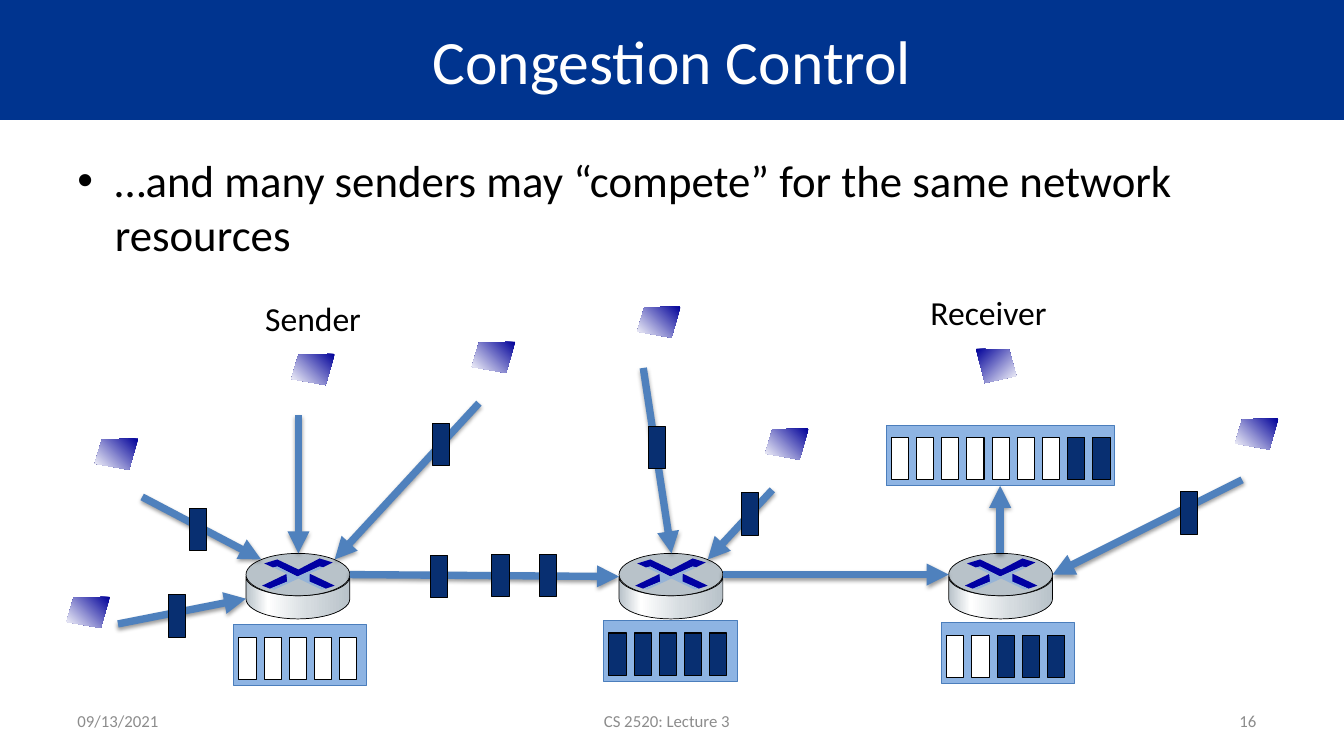
from math import cos, pi, sin

from lxml.etree import SubElement
from pptx import Presentation
from pptx.dml.color import RGBColor
from pptx.enum.shapes import MSO_CONNECTOR as LINK, MSO_SHAPE as SHAPE
from pptx.enum.text import MSO_ANCHOR as ANCHOR, PP_ALIGN as ALIGN
from pptx.oxml.ns import qn
from pptx.util import Inches, Pt

BLACK = RGBColor(0x00, 0x00, 0x00)
WHITE = RGBColor(0xFF, 0xFF, 0xFF)
GREY = RGBColor(0x8C, 0x8C, 0x8C)
TITLE_BLUE = RGBColor(0x00, 0x34, 0x8F)
PACKET_BLUE = RGBColor(0x08, 0x2F, 0x71)
QUEUE_FILL = RGBColor(0x8E, 0xB4, 0xE3)
QUEUE_EDGE = RGBColor(0x4B, 0x7E, 0xBC)
LINK_BLUE = RGBColor(0x4F, 0x81, 0xBD)
SCREEN_BLUE = RGBColor(0x00, 0x00, 0x99)
CROSS_BLUE = RGBColor(0x00, 0x00, 0xA3)
CROSS_LIGHT = RGBColor(0x95, 0xB3, 0xD7)
STEEL = RGBColor(0xB8, 0xC2, 0xC9)
STEEL_LIGHT = RGBColor(0xD6, 0xDC, 0xE0)

FONT = "Calibri"
PACKET_W, PACKET_H, SLOT_STEP = 0.17, 0.42, 0.25
QUEUE_H = 0.6
ROUTER_W, ROUTER_TOP = 1.03, 5.49

SENDER_SCREEN = [(0.43, 0), (0.07, 0.01), (0, 0.25), (0.34, 0.31)]
RECEIVER_SCREEN = [(0, 0), (0.33, 0.01), (0.4, 0.27), (0.09, 0.34)]
CROSS_PARTS = [
    ([(0.73, 0.05), (0.86, 0.09), (0.76, 0.14), (0.73, 0.13), (0.51, 0.23),
      (0.31, 0.13), (0.27, 0.14), (0.18, 0.1), (0.31, 0.06), (0.52, 0.16)], CROSS_BLUE),
    ([(0.63, 0.2), (0.88, 0.32), (0.79, 0.35), (0.62, 0.28)], CROSS_BLUE),
    ([(0.41, 0.2), (0.41, 0.28), (0.24, 0.35), (0.16, 0.32)], CROSS_BLUE),
    ([(0.27, 0.14), (0.31, 0.13), (0.51, 0.23), (0.73, 0.13), (0.77, 0.14),
      (0.63, 0.2), (0.63, 0.28), (0.79, 0.35), (0.75, 0.36), (0.52, 0.25),
      (0.28, 0.36), (0.24, 0.35), (0.41, 0.28), (0.4, 0.2)], CROSS_LIGHT),
]

ROUTER_LEFTS = [2.44, 6.14, 9.41]
QUEUES = [(2.32, 6.2, 1.32, 5, 0), (5.99, 6.16, 1.32, 0, 5), (9.34, 6.18, 1.32, 2, 3)]
SENDERS = [(2.89, 3.51), (0.66, 5.92), (12.25, 4.15), (4.68, 3.39),
           (6.32, 3.04), (0.94, 4.35), (7.59, 4.25)]
LINKS = [(3.47, 5.7, 6.14, 5.72), (7.17, 5.7, 9.41, 5.7), (2.96, 4.12, 2.96, 5.49),
         (1.41, 4.93, 2.59, 5.55), (1.17, 6.19, 2.44, 5.94), (4.75, 4, 3.32, 5.55),
         (7.66, 4.86, 7.02, 5.55), (6.38, 3.65, 6.66, 5.49), (12.32, 4.76, 10.44, 5.7)]
PACKETS = [(5.35, 5.5), (4.27, 5.51), (4.29, 4.2), (6.43, 4.23), (7.35, 4.89),
           (11.71, 4.88), (1.88, 5.04), (1.67, 5.9), (4.88, 5.5)]


def paint(shape, fill, edge=None, width=0.75):
    """Give a shape a flat fill and an optional outline, without shadow."""
    shape.shadow.inherit = False
    if fill is not None:
        shape.fill.solid()
        shape.fill.fore_color.rgb = fill
    if edge is None:
        shape.line.fill.background()
    else:
        shape.line.color.rgb = edge
        shape.line.width = Pt(width)


def paint_gradient(shape, stops, angle):
    """Fill a shape with a linear gradient of (percent, colour) stops."""
    shape.fill.gradient()
    shape.fill.gradient_angle = angle
    stop_list = shape._element.spPr.find(qn("a:gradFill")).find(qn("a:gsLst"))
    for old_stop in list(stop_list):
        stop_list.remove(old_stop)
    for percent, colour in stops:
        stop = SubElement(stop_list, qn("a:gs"), pos=str(percent * 1000))
        SubElement(stop, qn("a:srgbClr"), val=str(colour))


def add_box(shapes, kind, left, top, width, height, fill, edge, edge_width=0.75):
    """Add a painted preset shape."""
    box = shapes.add_shape(kind, Inches(left), Inches(top), Inches(width), Inches(height))
    paint(box, fill, edge, edge_width)
    return box


def add_outline(shapes, left, top, points):
    """Add a closed polygon whose points are relative to left and top."""
    corners = [(Inches(left + x), Inches(top + y)) for x, y in points]
    builder = shapes.build_freeform(*corners[0])
    builder.add_line_segments(corners[1:], close=True)
    return builder.convert_to_shape()


def style_text(frame, text, size, colour, align, anchor):
    """Write one paragraph into a text frame and format it."""
    frame.word_wrap = True
    frame.vertical_anchor = anchor
    frame.text = text
    paragraph = frame.paragraphs[0]
    paragraph.alignment = align
    font = paragraph.runs[0].font
    font.name, font.size, font.color.rgb = FONT, Pt(size), colour
    return paragraph


def add_text(shapes, area, text, size, colour=BLACK, align=ALIGN.LEFT, anchor=ANCHOR.TOP):
    """Add a text box at area (left, top, width, height)."""
    box = shapes.add_textbox(*map(Inches, area))
    return style_text(box.text_frame, text, size, colour, align, anchor)


def add_bullet(paragraph):
    """Give a paragraph a round bullet with a hanging indent."""
    properties = paragraph._p.get_or_add_pPr()
    properties.set("marL", str(Inches(0.37)))
    properties.set("indent", str(Inches(-0.37)))
    SubElement(properties, qn("a:buFont"), typeface="Arial")
    SubElement(properties, qn("a:buChar"), char="•")


def add_title(slide):
    """Turn the title placeholder into the blue bar."""
    title = slide.shapes.title
    title.left, title.top = Inches(0), Inches(0)
    title.width, title.height = Inches(13.33), Inches(1.19)
    title.fill.solid()
    title.fill.fore_color.rgb = TITLE_BLUE
    style_text(title.text_frame, "Congestion Control", 44, WHITE, ALIGN.CENTER, ANCHOR.MIDDLE)


def add_packet(shapes, left, top, fill=PACKET_BLUE):
    """Add one packet or one queue slot."""
    add_box(shapes, SHAPE.RECTANGLE, left, top, PACKET_W, PACKET_H, fill, BLACK)


def add_queue(slide, left, top, width, free, used):
    """Add a queue with free slots followed by used ones; return its frame."""
    shapes = slide.shapes.add_group_shape().shapes
    frame = add_box(shapes, SHAPE.RECTANGLE, left, top, width, QUEUE_H, QUEUE_FILL, QUEUE_EDGE)
    for slot, fill in enumerate([WHITE] * free + [PACKET_BLUE] * used):
        add_packet(shapes, left + 0.05 + slot * SLOT_STEP, top + 0.12, fill)
    return frame


def add_screen(slide, left, top, points, angle):
    """Add a computer screen fading from blue to white."""
    screen = add_outline(slide.shapes, left, top, points)
    paint(screen, None)
    paint_gradient(screen, [(0, SCREEN_BLUE), (100, WHITE)], angle)


def half_ring(middle, depth):
    """Return the lower half of an ellipse from right to left."""
    radius = ROUTER_W / 2
    return [(radius + radius * cos(pi * step / 24), middle + depth * sin(pi * step / 24))
            for step in range(25)]


def add_router(slide, left):
    """Add a cylinder with a crossed-arrow top."""
    shapes = slide.shapes.add_group_shape().shapes
    side = add_outline(shapes, left, ROUTER_TOP, half_ring(0.45, 0.2) + half_ring(0.23, 0.19)[::-1])
    paint(side, None, BLACK, 0.5)
    paint_gradient(side, [(0, STEEL), (21, WHITE), (60, STEEL_LIGHT), (100, STEEL)], 0)
    add_box(shapes, SHAPE.OVAL, left, ROUTER_TOP, ROUTER_W, 0.42, STEEL, BLACK, 0.5)
    for points, fill in CROSS_PARTS:
        paint(add_outline(shapes, left, ROUTER_TOP, points), fill)


def add_link(slide, *ends):
    """Add a thick arrow with a soft shadow."""
    link = slide.shapes.add_connector(LINK.STRAIGHT, *map(Inches, ends))
    link.line.color.rgb = LINK_BLUE
    link.line.width = Pt(5.25)
    SubElement(link.line._get_or_add_ln(), qn("a:tailEnd"), type="triangle")
    effects = SubElement(link._element.spPr, qn("a:effectLst"))
    shadow = SubElement(effects, qn("a:outerShdw"), blurRad=str(Pt(3.1)), dist=str(Pt(1.6)),
                        dir="5400000", rotWithShape="0")
    colour = SubElement(shadow, qn("a:srgbClr"), val=str(BLACK))
    SubElement(colour, qn("a:alpha"), val="38000")
    return link


def main():
    """Build the congestion control slide."""
    deck = Presentation()
    deck.slide_width, deck.slide_height = Inches(13.33), Inches(7.5)
    slide = deck.slides.add_slide(deck.slide_layouts[5])
    shapes = slide.shapes
    add_title(slide)
    add_bullet(add_text(shapes, (0.67, 1.47, 12, 1.3),
                        "…and many senders may “compete” for the same network resources", 32))
    for left, width, text, align in [(0.67, 1.64, "09/13/2021", ALIGN.LEFT),
                                     (2.05, 9.13, "CS 2520: Lecture 3", ALIGN.CENTER),
                                     (11.17, 1.39, "16", ALIGN.RIGHT)]:
        add_text(shapes, (left, 6.95, width, 0.4), text, 12, GREY, align, ANCHOR.MIDDLE)
    for left, top, role in [(8.85, 2.85, "Receiver"), (2.15, 2.91, "Sender")]:
        add_text(shapes, (left, top, 1.91, 0.5), role, 24, align=ALIGN.CENTER)
    receiver_queue = add_queue(slide, 8.79, 4.22, 2.26, 7, 2)
    add_screen(slide, 9.68, 3.46, RECEIVER_SCREEN, 315)
    for left, top in SENDERS:
        add_screen(slide, left, top, SENDER_SCREEN, 225)
    for left in ROUTER_LEFTS:
        add_router(slide, left)
    for queue in QUEUES:
        add_queue(slide, *queue)
    for ends in LINKS:
        add_link(slide, *ends)
    add_link(slide, 9.92, 5.49, 9.92, 4.82).end_connect(receiver_queue, 2)
    for left, top in PACKETS:
        add_packet(shapes, left, top)
    deck.save("out.pptx")


if __name__ == "__main__":
    main()
